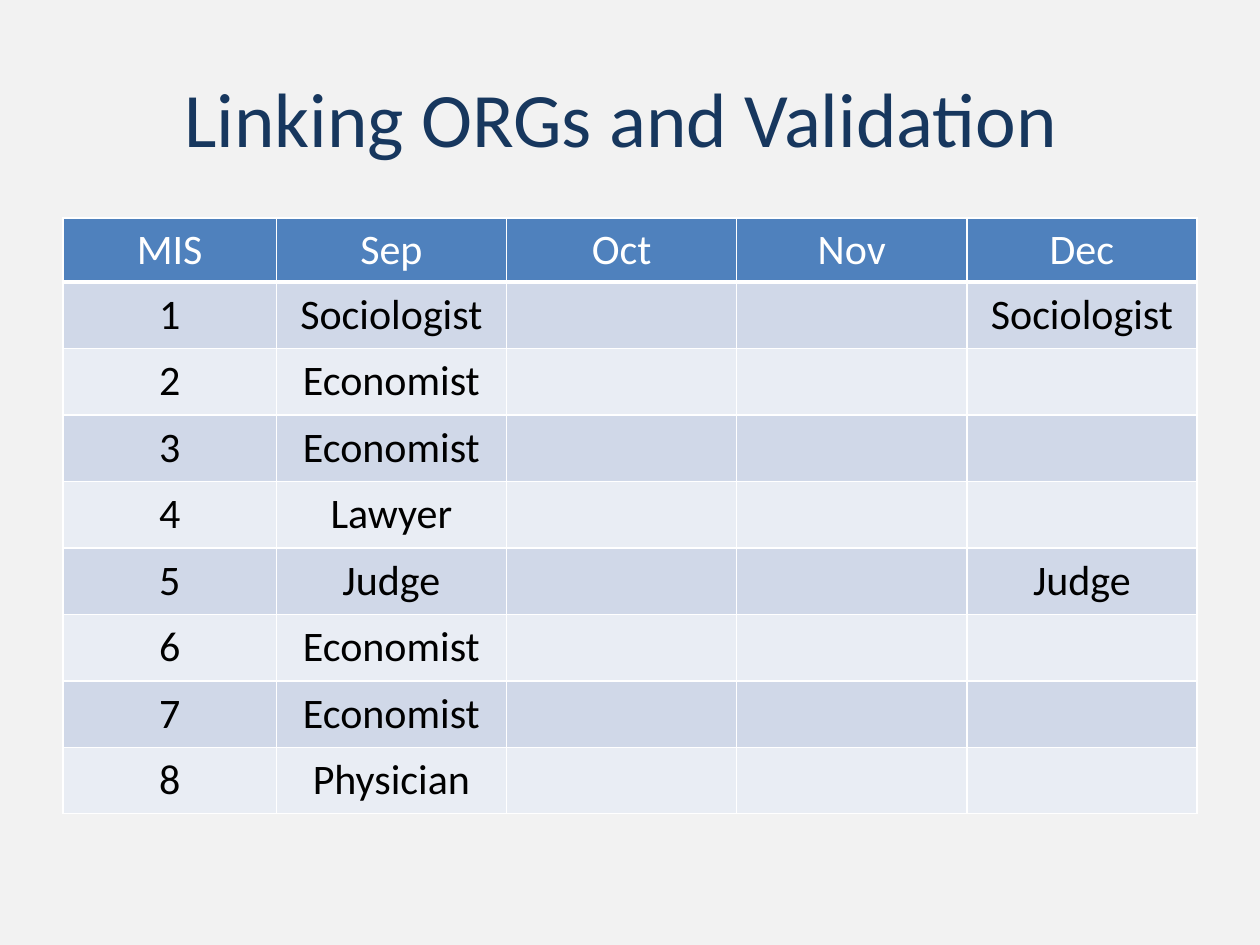
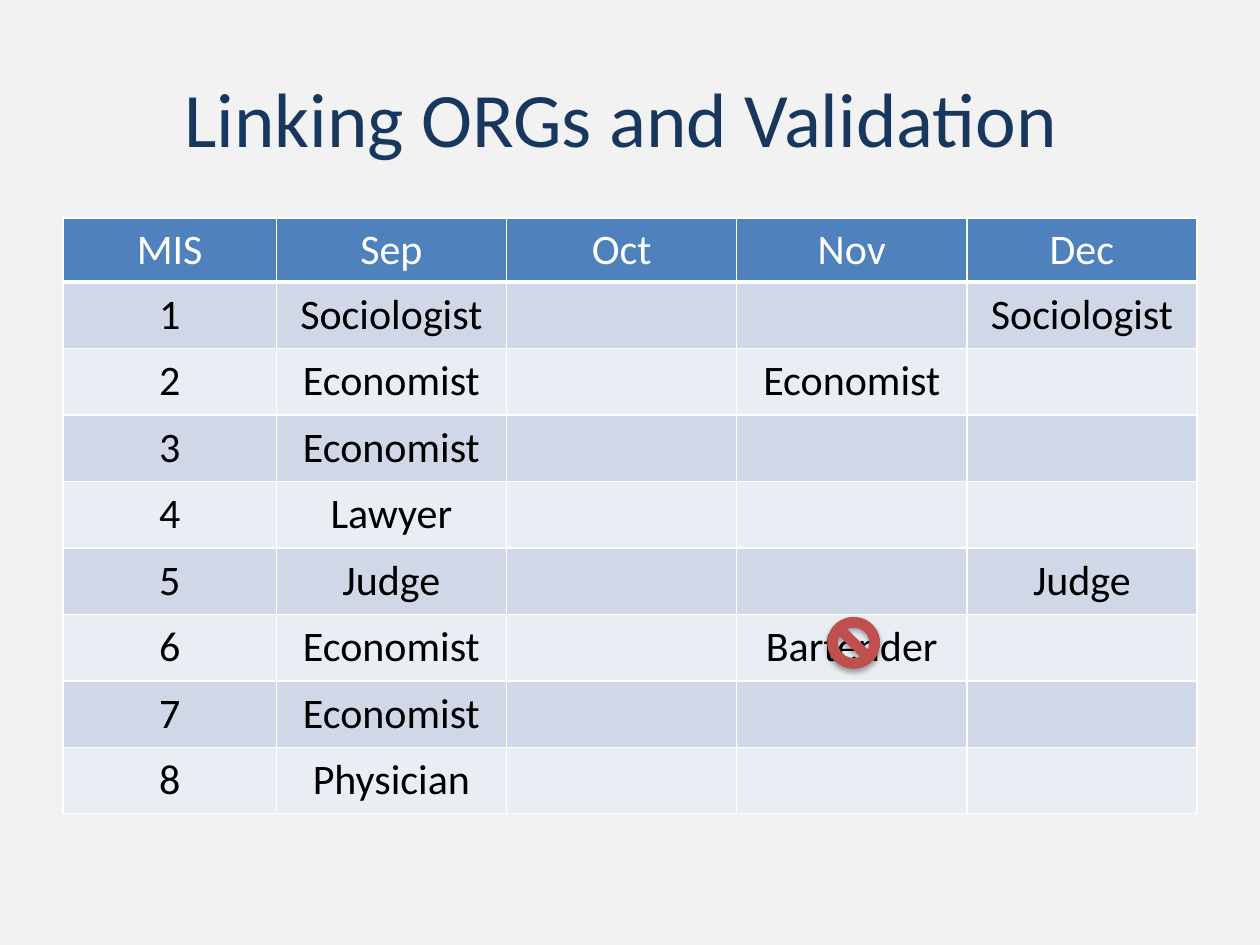
from lxml.etree import SubElement
from pptx import Presentation
from pptx.dml.color import RGBColor
from pptx.enum.shapes import MSO_SHAPE as SHAPE
from pptx.enum.text import MSO_ANCHOR as ANCHOR, PP_ALIGN as ALIGN
from pptx.oxml.ns import qn
from pptx.util import Cm, Pt

COLORS = {
    "background": "F2F2F2",
    "title": "17375E",
    "header": "4F81BD",
    "odd": "D0D8E8",
    "even": "E9EDF4",
    "white": "FFFFFF",
    "black": "000000",
    "ban": "C0504D",
}
FONT = "Calibri"
TITLE = "Linking ORGs and Validation "
MONTHS = ["Sep", "Oct", "Nov", "Dec"]
SEPTEMBER = ["Sociologist", "Economist", "Economist", "Lawyer",
             "Judge", "Economist", "Economist", "Physician"]
DECEMBER = {(1, "Dec"): "Sociologist", (5, "Dec"): "Judge"}
NOVEMBER = {(2, "Nov"): "Economist", (6, "Nov"): "Bartender"}
LEFT, WIDTH = Cm(1.27), Cm(22.86)
ID_WIDTH, MONTH_WIDTH = Cm(4.3), Cm(4.64)
HEADER_HEIGHT, ROW_HEIGHT = Cm(1.29), Cm(1.34)


def rgb(name):
    return RGBColor.from_string(COLORS[name])


def style_text(p, size, color):
    p.alignment = ALIGN.CENTER
    for r in p.runs:
        r.font.name = FONT
        r.font.size = Pt(size)
        r.font.bold = False
        r.font.color.rgb = rgb(color)


def add_title_slide(prs):
    s = prs.slides.add_slide(prs.slide_layouts[5])
    title = s.shapes.title
    title.left, title.top, title.width, title.height = LEFT, Cm(0.76), WIDTH, Cm(3.18)
    tf = title.text_frame
    tf.text = TITLE
    tf.vertical_anchor = ANCHOR.MIDDLE
    style_text(tf.paragraphs[0], 44, "title")
    return s


def set_borders(cell, bottom):
    tc_pr = cell._tc.get_or_add_tcPr()
    for i, (side, width) in enumerate([("L", 1), ("R", 1), ("T", 1), ("B", bottom)]):
        ln = SubElement(tc_pr, qn(f"a:ln{side}"), w=str(Pt(width)))
        fill = SubElement(ln, qn("a:solidFill"))
        SubElement(fill, qn("a:srgbClr"), val=COLORS["white"])
        tc_pr.insert(i, ln)


def fill_cell(cell, text, fill, color, bottom):
    cell.fill.solid()
    cell.fill.fore_color.rgb = rgb(fill)
    cell.margin_left = cell.margin_right = Cm(0.3)
    cell.margin_top = cell.margin_bottom = Cm(0.13)
    cell.vertical_anchor = ANCHOR.MIDDLE
    cell.text = text
    style_text(cell.text_frame.paragraphs[0], 24, color)
    set_borders(cell, bottom)


def add_job_table(s, later_jobs):
    rows = [["MIS"] + MONTHS]
    for mis, job in enumerate(SEPTEMBER, 1):
        rows.append([str(mis), job] + [later_jobs.get((mis, m), "") for m in MONTHS[1:]])
    height = HEADER_HEIGHT + ROW_HEIGHT * len(SEPTEMBER)
    table = s.shapes.add_table(len(rows), len(rows[0]), LEFT, Cm(4.39), WIDTH, height).table
    for i, col in enumerate(table.columns):
        col.width = MONTH_WIDTH if i else ID_WIDTH
    for i, values in enumerate(rows):
        table.rows[i].height = ROW_HEIGHT if i else HEADER_HEIGHT
        if i == 0:
            look = ("header", "white", 3)
        else:
            look = ("odd" if i % 2 else "even", "black", 1)
        for j, text in enumerate(values):
            fill_cell(table.cell(i, j), text, *look)


def add_ban_sign(s):
    sp = s.shapes.add_shape(SHAPE.NO_SYMBOL, Cm(16.69), Cm(12.45), Cm(1.04), Cm(1.02))
    sp.fill.solid()
    sp.fill.fore_color.rgb = rgb("ban")
    sp.line.color.rgb = rgb("ban")
    sp.line.width = Pt(0.75)
    sp.shadow.inherit = False
    effects = sp._element.spPr.find(qn("a:effectLst"))
    shadow = SubElement(effects, qn("a:outerShdw"), blurRad=str(Pt(3.1)),
                        dist=str(Pt(1.8)), dir="5400000", rotWithShape="0")
    color = SubElement(shadow, qn("a:srgbClr"), val=COLORS["black"])
    SubElement(color, qn("a:alpha"), val="35000")


def main():
    prs = Presentation()
    prs.slide_width, prs.slide_height = Cm(25.4), Cm(19.05)
    background = prs.slide_master.background.fill
    background.solid()
    background.fore_color.rgb = rgb("background")

    add_job_table(add_title_slide(prs), DECEMBER)

    s = add_title_slide(prs)
    add_job_table(s, DECEMBER | NOVEMBER)
    add_ban_sign(s)

    prs.save("out.pptx")


if __name__ == "__main__":
    main()
